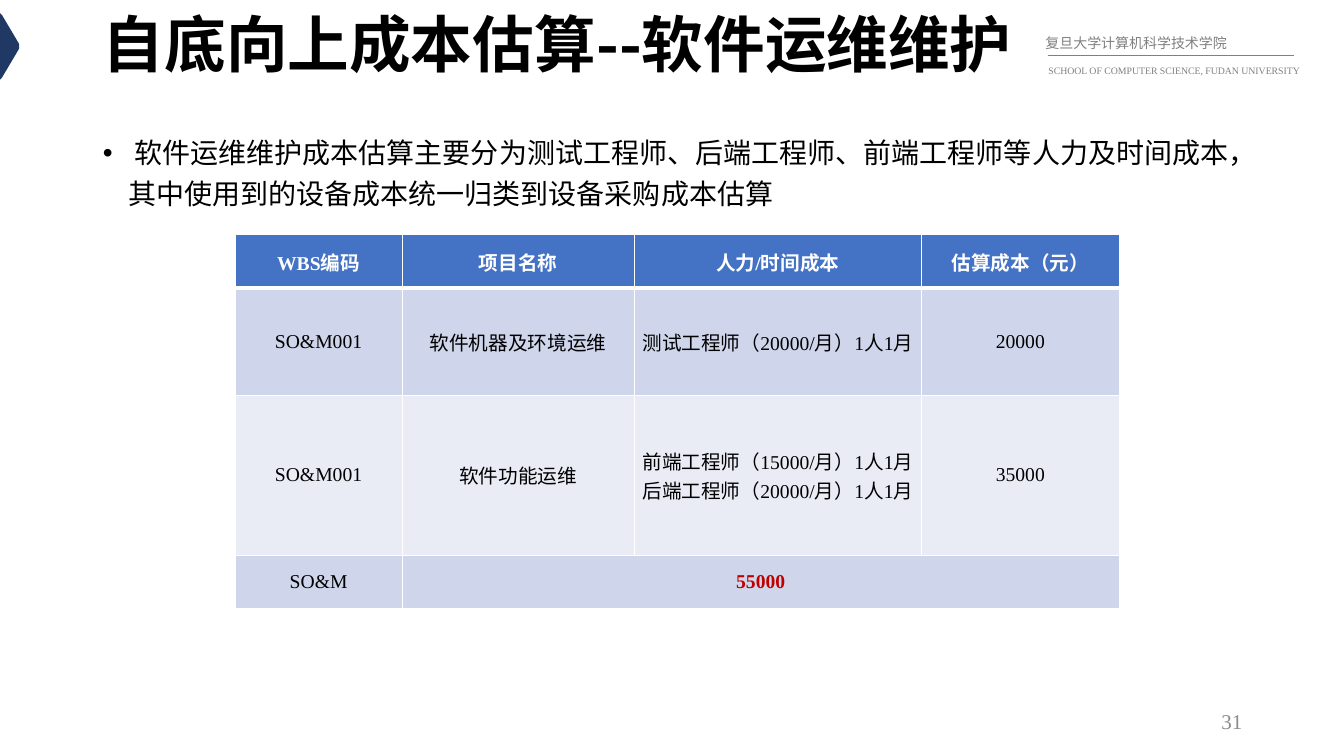
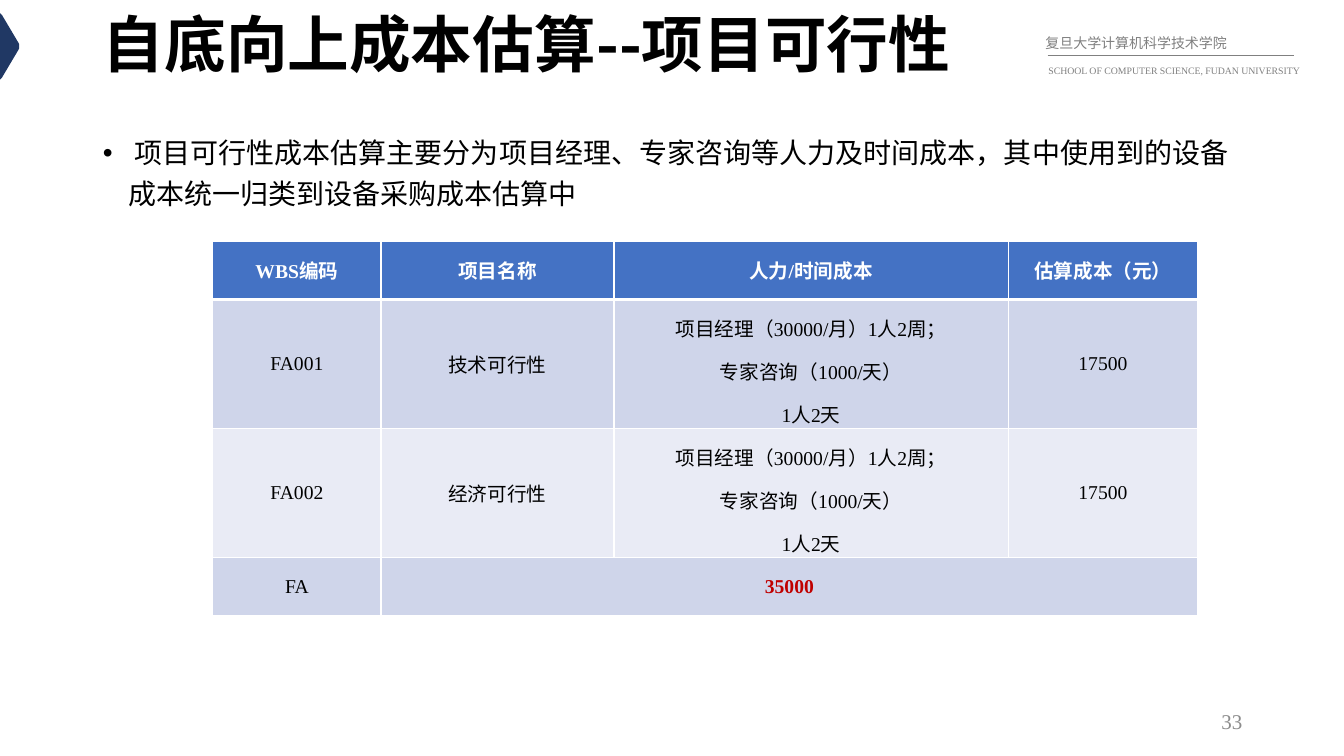
from dataclasses import dataclass

from lxml import etree
from pptx import Presentation
from pptx import util as u
from pptx.dml.color import RGBColor
from pptx.enum import shapes, text
from pptx.oxml import ns


@dataclass(frozen=True)
class Theme:
    latin: str = "Times New Roman"
    asian: str = "Noto Sans CJK SC"
    black: str = "000000"
    white: str = "FFFFFF"
    navy: str = "203864"
    grey: str = "808080"
    number_grey: str = "8C8C8C"
    header: str = "4472C4"
    band_dark: str = "CFD5EA"
    band_light: str = "E9EBF5"
    total: str = "C00000"
    title_size: int = 44
    body_size: int = 20
    number_size: int = 15
    table_size: int = 14
    school_size: int = 10
    school_english_size: int = 7


THEME = Theme()
ALIGN = text.PP_ALIGN
MIDDLE = text.MSO_ANCHOR.MIDDLE
TITLE_BOX = (0.92, 0, 11.5, 0.95)
BODY_BOX = (0.92, 1.23, 11.5, 5.53)
NUMBER_BOX = (11.17, 6.95, 1.25, 0.4)
SCHOOL_BOX = (10.27, 0.21, 2.72, 0.58)
ARROW_BOX = (0, 0.13, 0.19, 0.66)
HEADINGS = ("WBS编码", "项目名称", "人力/时间成本", "估算成本（元）")
FEASIBILITY_COST = "项目经理（30000/月）1人2周；\n专家咨询（1000/天）\n1人2天"

SLIDES = [
    dict(
        title="自底向上成本估算--软件运维维护",
        body=" 软件运维维护成本估算主要分为测试工程师、后端工程师、前端工程师等人力及时间成本，"
             "其中使用到的设备成本统一归类到设备采购成本估算",
        number=31,
        origin=(2.33, 2.33),
        widths=(1.66, 2.3, 2.85, 1.96),
        heights=(0.53, 1.06, 1.59, 0.53),
        rows=[
            ("SO&M001", "软件机器及环境运维", "测试工程师（20000/月）1人1月", "20000"),
            ("SO&M001", "软件功能运维",
             "前端工程师（15000/月）1人1月后端工程师（20000/月）1人1月", "35000"),
            ("SO&M", "55000"),
        ],
    ),
    dict(
        title="自底向上成本估算--项目可行性",
        body=" 项目可行性成本估算主要分为项目经理、专家咨询等人力及时间成本，"
             "其中使用到的设备成本统一归类到设备采购成本估算中",
        number=33,
        origin=(2.11, 2.39),
        widths=(1.67, 2.31, 3.91, 1.88),
        heights=(0.58, 1.28, 1.28, 0.58),
        rows=[
            ("FA001", "技术可行性", FEASIBILITY_COST, "17500"),
            ("FA002", "经济可行性", FEASIBILITY_COST, "17500"),
            ("FA", "35000"),
        ],
    ),
]


def inches(*lengths):
    return [u.Inches(length) for length in lengths]


def apply(target, **values):
    for name, value in values.items():
        setattr(target, name, value)


def write(frame, words, size, color, bold=False, latin=THEME.latin, **paragraph_format):
    """Fill a text frame, one paragraph for each line of words."""
    for index, line in enumerate(words.split("\n")):
        para = frame.add_paragraph() if index else frame.paragraphs[0]
        apply(para, space_before=u.Pt(0), **paragraph_format)
        span = para.add_run()
        span.text = line
        apply(span.font, size=u.Pt(size), bold=bold, name=latin)
        span.font.color.rgb = RGBColor.from_string(color)
        etree.SubElement(span._r.get_or_add_rPr(), ns.qn("a:ea"), typeface=THEME.asian)


def add_text(page, box, words, size, color, anchor=text.MSO_ANCHOR.TOP, **paragraph_format):
    frame = page.shapes.add_textbox(*inches(*box)).text_frame
    apply(frame, word_wrap=True, vertical_anchor=anchor)
    write(frame, words, size, color, **paragraph_format)


def fill_placeholder(holder, box, words, size, anchor, **format_values):
    left, top, width, height = inches(*box)
    apply(holder, left=left, top=top, width=width, height=height)
    frame = holder.text_frame
    apply(frame, auto_size=text.MSO_AUTO_SIZE.NONE, word_wrap=True, vertical_anchor=anchor)
    write(frame, words, size, THEME.black, alignment=ALIGN.LEFT, **format_values)
    return frame


def add_corner_arrow(page, box):
    left, top, width, height = (round(length * 100) for length in box)
    right, bottom, center = left + width, top + height, top + height / 2
    upper = [(left + 2, top + 2), (right - 1, center - 4), (right, center - 2)]
    lower = [(x, 2 * center - y) for x, y in reversed(upper)]
    builder = page.shapes.build_freeform(left, top, scale=u.Inches(0.01))
    builder.add_line_segments(upper + lower + [(left, bottom)], close=True)
    arrow = builder.convert_to_shape()
    arrow.shadow.inherit = False
    arrow.fill.solid()
    arrow.fill.fore_color.rgb = RGBColor.from_string(THEME.navy)
    arrow.line.fill.background()


def add_school_mark(page, box):
    left, top, width, _ = box
    rule_y = top + 0.34
    add_text(page, (left, top, width, 0.32), "复旦大学计算机科学技术学院",
             THEME.school_size, THEME.grey, alignment=ALIGN.JUSTIFY, line_spacing=1.5)
    rule = page.shapes.add_connector(
        shapes.MSO_CONNECTOR.STRAIGHT, *inches(left + 0.12, rule_y, left + 2.56, rule_y))
    rule.line.width = u.Pt(0.5)
    rule.line.color.rgb = RGBColor.from_string(THEME.grey)
    etree.SubElement(rule._element.spPr, ns.qn("a:effectLst"))
    add_text(page, (left + 0.03, rule_y - 0.02, width, 0.26),
             "SCHOOL OF COMPUTER SCIENCE, FUDAN UNIVERSITY",
             THEME.school_english_size, THEME.grey, line_spacing=1.5)


def format_cell(cell, fill, top_width, bottom_width):
    """Set the margins, the white borders and the fill of a cell."""
    apply(cell, margin_left=u.Inches(0.07), margin_right=u.Inches(0.07),
          margin_top=0, margin_bottom=0, vertical_anchor=MIDDLE)
    properties = cell._tc.get_or_add_tcPr()
    for side, points in (("L", 1), ("R", 1), ("T", top_width), ("B", bottom_width)):
        border = etree.SubElement(properties, ns.qn(f"a:ln{side}"), w=str(u.Pt(points)))
        paint = etree.SubElement(border, ns.qn("a:solidFill"))
        etree.SubElement(paint, ns.qn("a:srgbClr"), val=THEME.white)
    cell.fill.solid()
    cell.fill.fore_color.rgb = RGBColor.from_string(fill)


def add_cost_table(page, origin, widths, heights, rows):
    """Add the headings, the cost rows and a total row merged after its first cell."""
    box = (*origin, sum(widths), sum(heights))
    table = page.shapes.add_table(len(heights), len(widths), *inches(*box)).table
    for column, width in zip(table.columns, widths):
        column.width = u.Inches(width)
    last = len(heights) - 1
    for index, (height, values) in enumerate(zip(heights, [HEADINGS, *rows])):
        table.rows[index].height = u.Inches(height)
        band = THEME.band_dark if index % 2 else THEME.band_light
        for cell in table.rows[index].cells:
            format_cell(cell, band if index else THEME.header,
                        top_width=3 if index == 1 else 1,
                        bottom_width=1 if index else 3)
        for position, words in enumerate(values):
            is_total = index == last and position == 1
            color = THEME.total if is_total else THEME.black if index else THEME.white
            write(table.cell(index, position).text_frame, words, THEME.table_size, color,
                  bold=is_total or index == 0, alignment=ALIGN.CENTER,
                  line_spacing=1.5 if "\n" in words else 1.0)
    table.cell(last, 1).merge(table.cell(last, len(widths) - 1))


def add_cost_slide(deck, title, body, number, **table_values):
    page = deck.slides.add_slide(deck.slide_layouts[1])
    add_corner_arrow(page, ARROW_BOX)
    add_school_mark(page, SCHOOL_BOX)
    fill_placeholder(page.shapes.title, TITLE_BOX, title, THEME.title_size, MIDDLE,
                     bold=True, latin=THEME.asian, line_spacing=0.9)
    frame = fill_placeholder(page.placeholders[1], BODY_BOX, body, THEME.body_size,
                             text.MSO_ANCHOR.TOP, line_spacing=1.2)
    properties = frame.paragraphs[0]._p.get_or_add_pPr()
    for name, length in (("marL", 0.25), ("indent", -0.25)):
        properties.set(name, str(u.Inches(length)))
    add_cost_table(page, **table_values)
    add_text(page, NUMBER_BOX, str(number), THEME.number_size, THEME.number_grey,
             anchor=MIDDLE, alignment=ALIGN.RIGHT)


def main():
    deck = Presentation()
    apply(deck, slide_width=u.Inches(13.33), slide_height=u.Inches(7.5))
    for content in SLIDES:
        add_cost_slide(deck, **content)
    deck.save("out.pptx")


if __name__ == "__main__":
    main()
